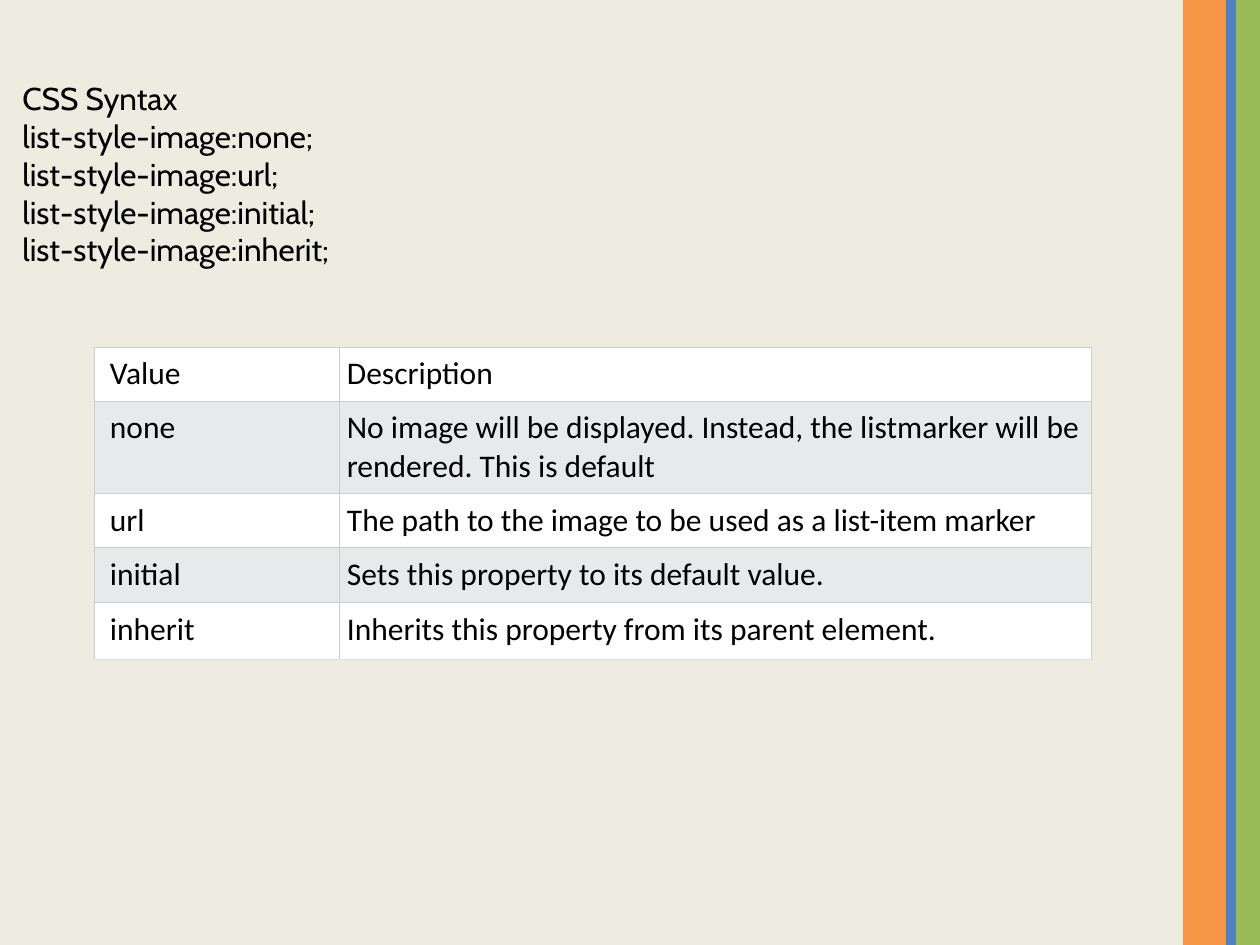
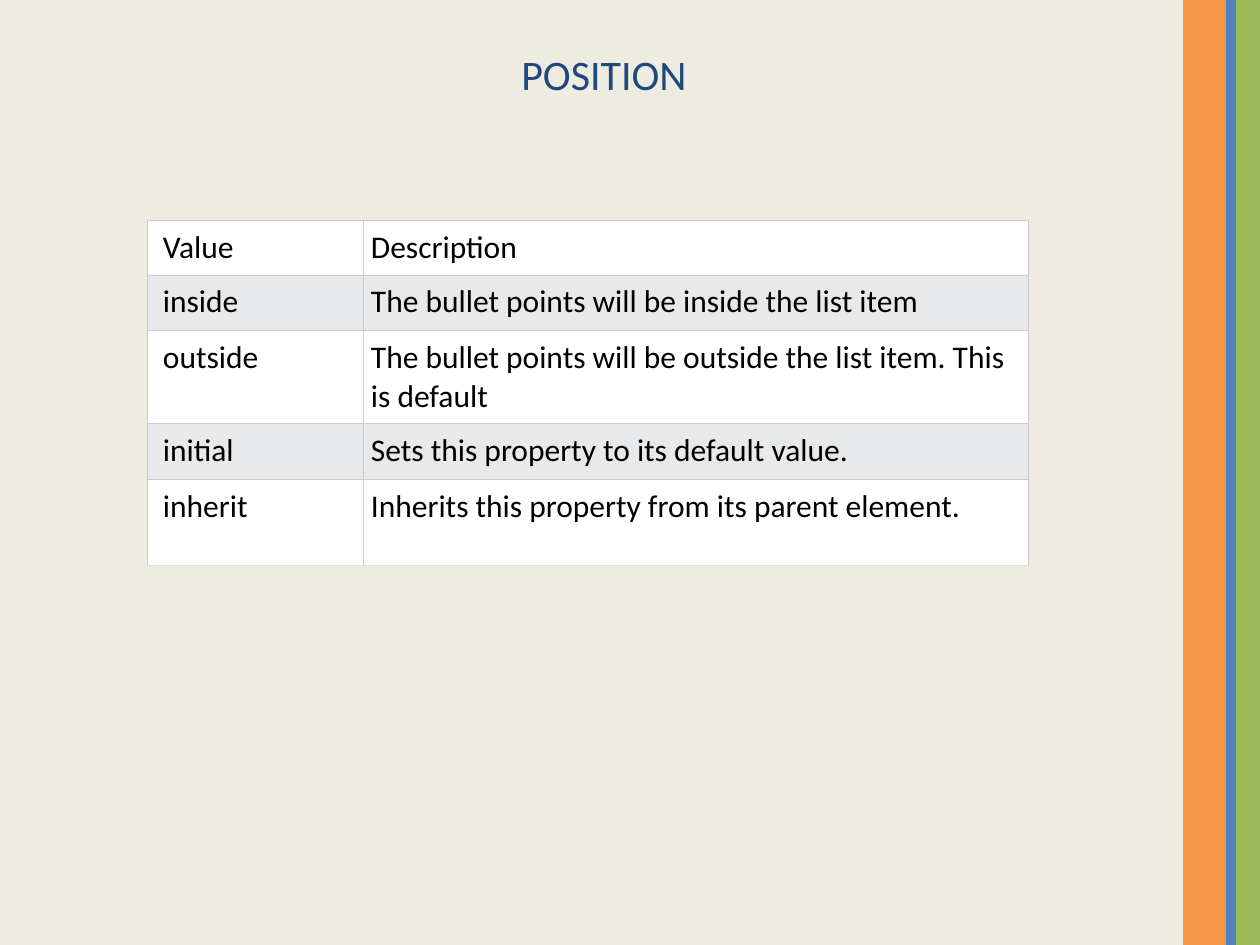
from dataclasses import dataclass

from lxml.etree import SubElement
from pptx import Presentation
from pptx.dml.color import RGBColor
from pptx.enum.shapes import MSO_SHAPE
from pptx.enum.text import MSO_ANCHOR, PP_ALIGN as Align
from pptx.oxml.ns import qn
from pptx.util import Pt

EMU_PER_PX = 914400 / 126
SLIDE_WIDTH, SLIDE_HEIGHT = 1260, 945
TITLE_AND_CONTENT, BLANK = 1, 6


@dataclass(frozen=True)
class Theme:
    background: str = "EEECE1"
    orange: str = "F79646"
    blue: str = "4F81BD"
    green: str = "9BBB59"
    heading: str = "1F497D"
    text: str = "000000"
    row_fills: tuple = ("FFFFFF", "E7E9EB")
    border: str = "CCCCCC"
    last_border: str = "DDDDDD"
    border_width: float = 0.6
    body_font: str = "Calibri"
    syntax_font: str = "Cabin"
    heading_size: int = 24
    text_size: int = 18


THEME = Theme()


def px(length):
    return round(length * EMU_PER_PX)


def box(*lengths):
    return [px(length) for length in lengths]


def rgb(color):
    return RGBColor.from_string(color)


def write_text(frame, lines, font=THEME.body_font, size=THEME.text_size,
               color=THEME.text, align=Align.LEFT):
    frame.word_wrap = True
    frame.vertical_anchor = MSO_ANCHOR.TOP
    for number, line in enumerate(lines):
        paragraph = frame.add_paragraph() if number else frame.paragraphs[0]
        paragraph.alignment = align
        run = paragraph.add_run()
        run.text = line
        run.font.name = font
        run.font.size = Pt(size)
        run.font.color.rgb = rgb(color)


# Shared look: background and side bands live on the master
def add_band(master, slide, left, width, color):
    band = slide.shapes.add_shape(MSO_SHAPE.RECTANGLE, *box(left, 0, width, SLIDE_HEIGHT))
    band.shadow.inherit = False
    band.fill.solid()
    band.fill.fore_color.rgb = rgb(color)
    band.line.fill.background()
    band_id = max(shape.shape_id for shape in master.shapes) + 1
    band._element.nvSpPr.cNvPr.set("id", str(band_id))
    master.shapes._spTree.append(band._element)


def style_master(master, slide):
    master.background.fill.solid()
    master.background.fill.fore_color.rgb = rgb(THEME.background)
    add_band(master, slide, 1183, 44, THEME.orange)
    add_band(master, slide, 1236, 24, THEME.green)
    add_band(master, slide, 1226, 10, THEME.blue)


# Tables of property values
def set_borders(cell, bottom_color):
    properties = cell._tc.get_or_add_tcPr()
    for side in "LRTB":
        color = bottom_color if side == "B" else THEME.border
        line = SubElement(properties, qn(f"a:ln{side}"), w=str(Pt(THEME.border_width)))
        fill = SubElement(line, qn("a:solidFill"))
        SubElement(fill, qn("a:srgbClr"), val=color)


def add_value_table(slide, left, top, column_widths, row_heights, values):
    rows = [("Value", "Description"), *values]
    frame = slide.shapes.add_table(
        len(rows), len(column_widths),
        *box(left, top, sum(column_widths), sum(row_heights)))
    table = frame.table
    table.first_row = table.horz_banding = False
    for column, width in zip(table.columns, column_widths):
        column.width = px(width)
    for row_number, (height, texts) in enumerate(zip(row_heights, rows)):
        table.rows[row_number].height = px(height)
        is_last = row_number == len(rows) - 1
        for column_number, text in enumerate(texts):
            cell = table.cell(row_number, column_number)
            set_borders(cell, THEME.last_border if is_last else THEME.border)
            cell.fill.solid()
            cell.fill.fore_color.rgb = rgb(THEME.row_fills[row_number % 2])
            cell.margin_left = px(8 if column_number else 16)
            cell.margin_right = cell.margin_top = cell.margin_bottom = px(8)
            write_text(cell.text_frame, [text])


# Text blocks
def add_syntax(slide, lines):
    text_box = slide.shapes.add_textbox(*box(10, 73, 1134, 547))
    write_text(text_box.text_frame, lines, font=THEME.syntax_font)


def fill_body_heading(slide, heading):
    title = slide.shapes.title
    title._element.getparent().remove(title._element)
    body = slide.placeholders[1]
    body.left, body.top, body.width, body.height = box(53, 42, 1102, 882)
    write_text(body.text_frame, [heading], size=THEME.heading_size,
               color=THEME.heading, align=Align.CENTER)
    properties = body.text_frame.paragraphs[0]._p.get_or_add_pPr()
    properties.set("marL", "0")
    properties.set("indent", "0")
    SubElement(properties, qn("a:buNone"))


def main():
    presentation = Presentation()
    presentation.slide_width, presentation.slide_height = box(SLIDE_WIDTH, SLIDE_HEIGHT)
    layouts = presentation.slide_layouts
    common_values = [
        ("initial", "Sets this property to its default value."),
        ("inherit", "Inherits this property from its parent element."),
    ]

    # Slide 1: list-style-image
    image_slide = presentation.slides.add_slide(layouts[BLANK])
    style_master(presentation.slide_master, image_slide)
    keywords = ["none", "url", "initial", "inherit"]
    add_syntax(image_slide, ["CSS Syntax"] + [f"list-style-image:{word};" for word in keywords])
    add_value_table(image_slide, 94, 347, [245, 752], [54, 93, 54, 55, 57], [
        ("none", "No image will be displayed. Instead, the listmarker will be "
                 "rendered. This is default"),
        ("url", "The path to the image to be used as a list-item marker"),
        *common_values,
    ])

    # Slide 2: list-style-position
    position_slide = presentation.slides.add_slide(layouts[TITLE_AND_CONTENT])
    fill_body_heading(position_slide, "POSITION")
    add_value_table(position_slide, 147, 220, [216, 665], [55, 56, 93, 56, 86], [
        ("inside", "The bullet points will be inside the list item"),
        ("outside", "The bullet points will be outside the list item. This is default"),
        *common_values,
    ])

    presentation.save("out.pptx")


if __name__ == "__main__":
    main()
